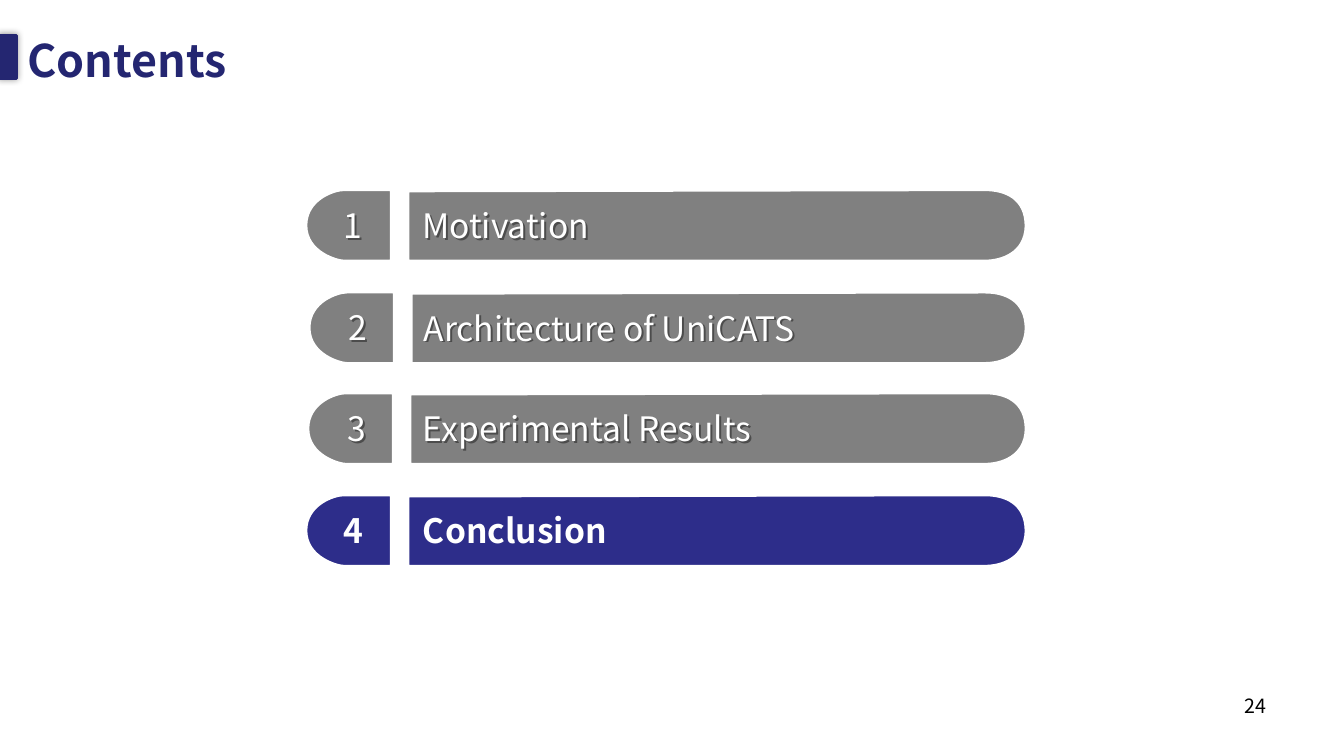
from dataclasses import dataclass

import pptx
import pptx.dml.color
import pptx.enum.shapes
import pptx.enum.text
import pptx.oxml
import pptx.oxml.ns
import pptx.util

Cm = pptx.util.Cm
Pt = pptx.util.Pt
qn = pptx.oxml.ns.qn
NSDECL = pptx.oxml.ns.nsdecls("a")
ALIGN = pptx.enum.text.PP_ALIGN
ANCHOR = pptx.enum.text.MSO_ANCHOR
FONT = "Noto Sans CJK SC"
NAVY, INDIGO, GRAY, WHITE, BLACK = "242671", "2D2D8A", "808080", "FFFFFF", "000000"
ROW_H = 1.78
CAP_W = 2.13
BAR_OFFSET = 2.57
Point = tuple[float, float]


@dataclass
class Row:
    number: str
    label: str
    left: float
    top: float
    label_left: float
    label_width: float
    align: ALIGN = ALIGN.CENTER
    fill: str = GRAY
    bold: bool = False


ROWS = [
    Row("1", "Motivation", 7.72, 4.79, 10.39, 11.15, ALIGN.LEFT),
    Row("2", "Architecture of UniCATS", 7.8, 7.37, 10.43, 14.86),
    Row("3", "Experimental Results", 7.77, 9.91, 10.41, 14.86),
    Row("4", "Conclusion", 7.72, 12.48, 10.41, 15.65, ALIGN.LEFT, INDIGO, True),
]


def rgb(value: str) -> pptx.dml.color.RGBColor:
    return pptx.dml.color.RGBColor.from_string(value)


def paint(sp, fill: str, line: str, width: float) -> None:
    sp.shadow.inherit = False
    sp.fill.solid()
    sp.fill.fore_color.rgb = rgb(fill)
    sp.line.color.rgb = rgb(line)
    sp.line.width = Pt(width)


def add_shadow(sp, blur: float, dist: float, angle: int, alpha: int) -> None:
    """Give the shape a black outer shadow."""
    sp.shadow.inherit = False
    empty = sp._element.spPr.find(qn("a:effectLst"))
    empty.append(pptx.oxml.parse_xml(
        f'<a:outerShdw {NSDECL} blurRad="{Pt(blur)}" dist="{Pt(dist)}" dir="{angle * 60000}">'
        f'<a:srgbClr val="{BLACK}"><a:alpha val="{alpha * 1000}"/></a:srgbClr>'
        '</a:outerShdw>'))


def write(sp, text: str, size: float, color: str, bold: bool = False,
          align=ALIGN.LEFT, anchor=ANCHOR.TOP) -> None:
    tf = sp.text_frame
    tf.text = text
    tf.word_wrap = True
    tf.vertical_anchor = anchor
    p = tf.paragraphs[0]
    p.alignment = align
    r = p.runs[0]
    r.font.size = Pt(size)
    r.font.bold = bold
    r.font.name = FONT
    r.font.color.rgb = rgb(color)


def textbox(s, left: float, top: float, width: float, height: float):
    return s.shapes.add_textbox(Cm(left), Cm(top), Cm(width), Cm(height))


def outline(s, points: list[Point], commands: str, left: float, top: float, fill: str) -> None:
    """Closed outline: after the start, L takes one point and C takes three."""
    emu = [(Cm(left + x), Cm(top + y)) for x, y in points]
    builder = s.shapes.build_freeform(*emu[0])
    builder.add_line_segments(emu[1:], close=True)
    sp = builder.convert_to_shape()
    lines = iter(list(sp._element.iter(qn("a:lnTo"))))
    for command in commands:
        first = next(lines)
        if command == "C":
            bezier = pptx.oxml.parse_xml(f"<a:cubicBezTo {NSDECL}/>")
            first.addprevious(bezier)
            for line in (first, next(lines), next(lines)):
                bezier.append(line[0])
                line.getparent().remove(line)
    paint(sp, fill, WHITE, 1.5)


def add_row(s, row: Row) -> None:
    # Bar with a rounded right end; its right edge is the same in every row
    start = row.left + BAR_OFFSET
    bar = [(start, 0.03), (start, ROW_H),
           (start + 0.51, ROW_H), (24.43, ROW_H), (24.83, ROW_H),
           (25.22, ROW_H), (25.83, 1.6), (25.85, 0.91),
           (25.85, 0.2), (25.32, 0), (24.83, 0),
           (24.35, 0), (start + 0.51, 0.03), (start, 0.03)]
    outline(s, bar, "LCCCC", 0, row.top, row.fill)

    # Number cap with a rounded left end
    cap = [(CAP_W, 0), (CAP_W, 0.89), (CAP_W, ROW_H), (CAP_W, ROW_H),
           (0.94, ROW_H),
           (0.79, ROW_H), (0, 1.57), (0, 0.89),
           (0, 0.23), (0.71, 0), (0.94, 0),
           (CAP_W, 0)]
    outline(s, cap, "CLCCL", row.left, row.top, row.fill)

    # Number and label
    number = textbox(s, row.left + 0.68, row.top + 0.24, 1.07, 1.27)
    write(number, row.number, 24, WHITE, row.bold, row.align)
    label = textbox(s, row.label_left, row.top + 0.3, row.label_width, 1.17)
    label.text_frame.margin_top = label.text_frame.margin_bottom = Cm(0.08)
    write(label, row.label, 24, WHITE, row.bold, anchor=ANCHOR.MIDDLE)
    if row.fill == GRAY:
        for sp in (number, label):
            add_shadow(sp, 0, 2, 45, 40)


def main() -> None:
    prs = pptx.Presentation()
    prs.slide_width, prs.slide_height = Cm(33.87), Cm(19.05)
    s = prs.slides.add_slide(prs.slide_layouts[5])

    # Title and its marker
    marker = s.shapes.add_shape(pptx.enum.shapes.MSO_SHAPE.RECTANGLE,
                                Cm(-0.03), Cm(0.89), Cm(0.45), Cm(1.09))
    paint(marker, NAVY, NAVY, 2)
    add_shadow(marker, 5, 0, 0, 40)
    title = s.shapes.title
    title.left, title.top, title.width, title.height = Cm(0.43), Cm(-0.33), Cm(32.89), Cm(3.68)
    write(title, "Contents", 32, NAVY, True, anchor=ANCHOR.MIDDLE)

    # Contents rows
    for row in ROWS:
        add_row(s, row)

    # Page number
    write(textbox(s, 24.27, 17.35, 7.9, 1.32), "24", 14, BLACK, align=ALIGN.RIGHT)

    prs.save("out.pptx")


if __name__ == "__main__":
    main()
